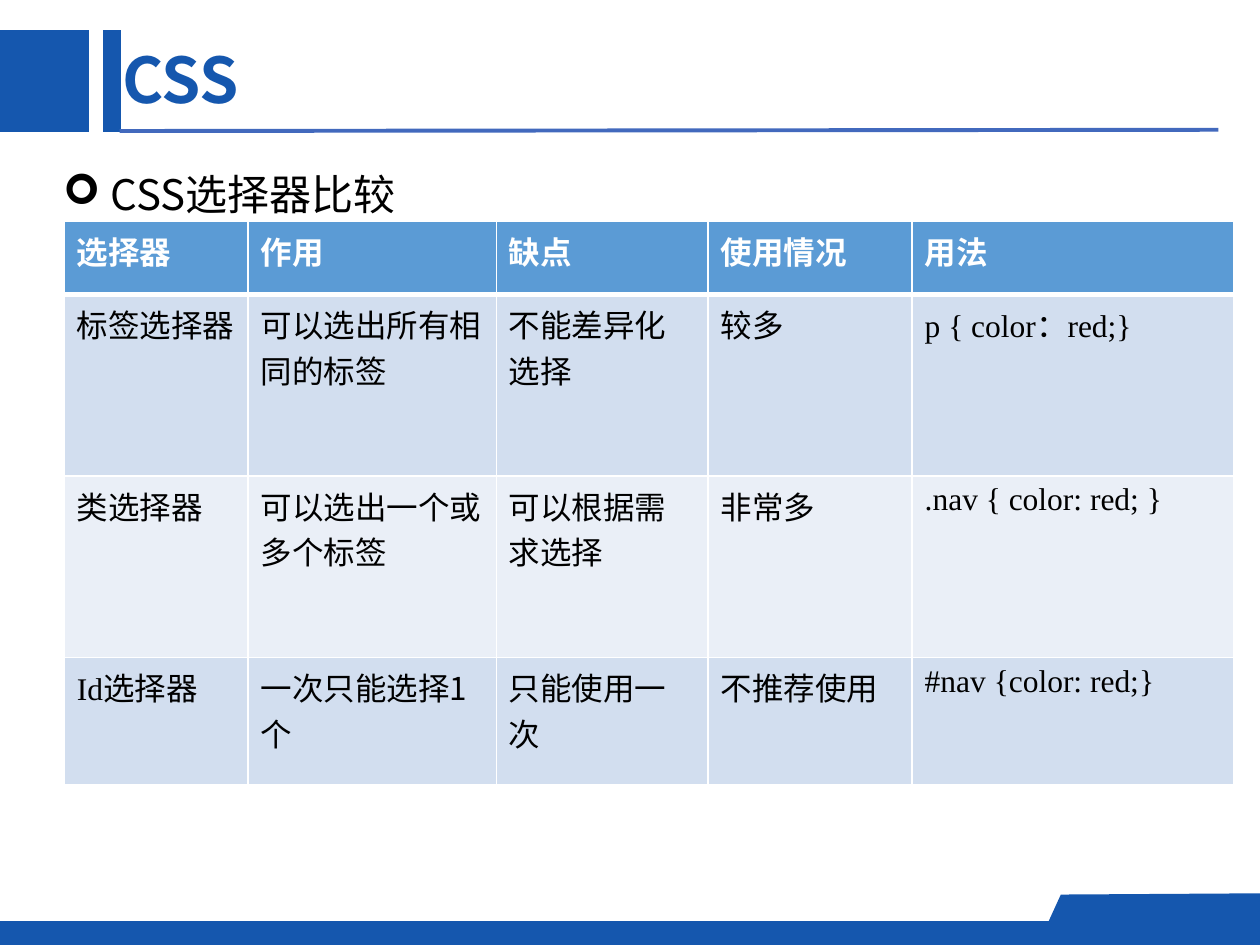
from lxml import etree
from pptx import Presentation, util as u
from pptx.dml.color import RGBColor
from pptx.enum import shapes, text
from pptx.oxml.ns import qn

THEME = {
    "blue": "1557AE", "rule": "4269BD", "header": "5B9BD5",
    "bands": ("D2DEEF", "EAEFF7"), "white": "FFFFFF", "black": "000000",
    "sans": "Noto Sans CJK SC", "code": "Times New Roman",
    "title": 36, "body": 24, "cell": 18,
}

TITLE = "CSS"
SUBTITLE = "CSS选择器比较"
HEADERS = ["选择器", "作用", "缺点", "使用情况", "用法"]
SELECTORS = [
    [("标签选择器",), "可以选出所有相同的标签", "不能差异化选择", "较多", "p { color：red;}"],
    [("类选择器",), "可以选出一个或多个标签", "可以根据需求选择", "非常多", ".nav { color: red; }"],
    [("Id", "选择器"), "一次只能选择1个", "只能使用一次", "不推荐使用", "#nav {color: red;}"],
]
COLUMN_WIDTHS = [1.46, 1.97, 1.68, 1.62, 2.55]
ROW_HEIGHTS = [0.58, 1.44, 1.44, 1.01]
BARS = [(0, 0.24, 0.71, 0.81), (0.82, 0.24, 0.14, 0.81), (0, 7.31, 10, 0.19)]
CORNER = [(10, 7.45), (10, 7.09), (8.42, 7.1), (8.26, 7.45)]


def color(name):
    return RGBColor.from_string(name)


def write(para, content, size, ink="black", font="sans", bold=False):
    span = para.add_run()
    span.text = content
    span.font.size = u.Pt(size)
    span.font.bold = bold
    span.font.name = THEME[font]
    span.font.color.rgb = color(THEME[ink])
    east = etree.SubElement(span.font._element, qn("a:ea"))
    east.set("typeface", THEME["sans"])


def paint(shape):
    shape.shadow.inherit = False
    shape.fill.solid()
    shape.fill.fore_color.rgb = color(THEME["blue"])
    shape.line.fill.background()


def place(shape, left, top, width, height):
    shape.left, shape.top = u.Inches(left), u.Inches(top)
    shape.width, shape.height = u.Inches(width), u.Inches(height)


def add_decoration(page):
    for bar in BARS:
        paint(page.shapes.add_shape(shapes.MSO_SHAPE.FLOWCHART_PROCESS, *map(u.Inches, bar)))
    points = [(u.Inches(x), u.Inches(y)) for x, y in CORNER]
    outline = page.shapes.build_freeform(*points[0])
    outline.add_line_segments(points[1:], close=True)
    paint(outline.convert_to_shape())
    rule = page.shapes.add_connector(
        shapes.MSO_CONNECTOR.STRAIGHT, *map(u.Inches, (9.67, 1.03, 0.95, 1.04)))
    rule.line.color.rgb = color(THEME["rule"])
    rule.line.width = u.Pt(2.25)
    etree.SubElement(rule._element.spPr, qn("a:effectLst"))


def add_headings(page):
    title, body = page.shapes.title, page.placeholders[1]
    place(title, 0.62, 0.27, 1.66, 0.71)
    place(body, 0.4, 1.09, 9.27, 3.18)

    frame = title.text_frame
    frame.word_wrap = False
    frame.auto_size = text.MSO_AUTO_SIZE.NONE
    frame.vertical_anchor = text.MSO_ANCHOR.MIDDLE
    frame.margin_left = frame.margin_right = u.Inches(0.35)
    para = frame.paragraphs[0]
    para.alignment = text.PP_ALIGN.LEFT
    write(para, TITLE, THEME["title"], ink="blue", bold=True)

    frame = body.text_frame
    frame.word_wrap = True
    frame.auto_size = text.MSO_AUTO_SIZE.NONE
    frame.vertical_anchor = text.MSO_ANCHOR.TOP
    para = frame.paragraphs[0]
    para.line_spacing = 1.5
    para.space_before = u.Pt(0)
    write(para, SUBTITLE, THEME["body"])
    properties = para._p.get_or_add_pPr()
    properties.set("marL", str(u.Inches(0.38)))
    properties.set("indent", str(-u.Inches(0.38)))
    etree.SubElement(properties, qn("a:buFont")).set("typeface", "Wingdings")
    etree.SubElement(properties, qn("a:buChar")).set("char", "➢")


def add_borders(cell, top, bottom):
    properties = cell._tc.get_or_add_tcPr()
    for side, points in (("L", 1), ("R", 1), ("T", top), ("B", bottom)):
        line = etree.SubElement(properties, qn("a:ln" + side), w=str(u.Pt(points)))
        fill = etree.SubElement(line, qn("a:solidFill"))
        etree.SubElement(fill, qn("a:srgbClr"), val=THEME["white"])


def add_comparison(page):
    rows = [HEADERS] + SELECTORS
    table = page.shapes.add_table(
        len(rows), len(HEADERS), u.Inches(0.51), u.Inches(1.76),
        u.Inches(sum(COLUMN_WIDTHS)), u.Inches(sum(ROW_HEIGHTS))).table
    for column, width in zip(table.columns, COLUMN_WIDTHS):
        column.width = u.Inches(width)
    for row, height in zip(table.rows, ROW_HEIGHTS):
        row.height = u.Inches(height)

    for r, row in enumerate(rows):
        header = r == 0
        for c, content in enumerate(row):
            cell = table.cell(r, c)
            add_borders(cell, top=3 if r == 1 else 1, bottom=3 if header else 1)
            cell.fill.solid()
            cell.fill.fore_color.rgb = color(
                THEME["header"] if header else THEME["bands"][(r - 1) % 2])
            pieces = content if isinstance(content, tuple) else (content,)
            for piece in pieces:
                code = not header and (c == len(row) - 1 or piece == "Id")
                write(cell.text_frame.paragraphs[0], piece, THEME["cell"],
                      ink="white" if header else "black",
                      font="code" if code else "sans", bold=header)


def main():
    deck = Presentation()
    deck.slide_width, deck.slide_height = u.Inches(10), u.Inches(7.5)
    page = deck.slides.add_slide(deck.slide_layouts[1])
    add_decoration(page)
    add_headings(page)
    add_comparison(page)
    deck.save("out.pptx")


if __name__ == "__main__":
    main()
